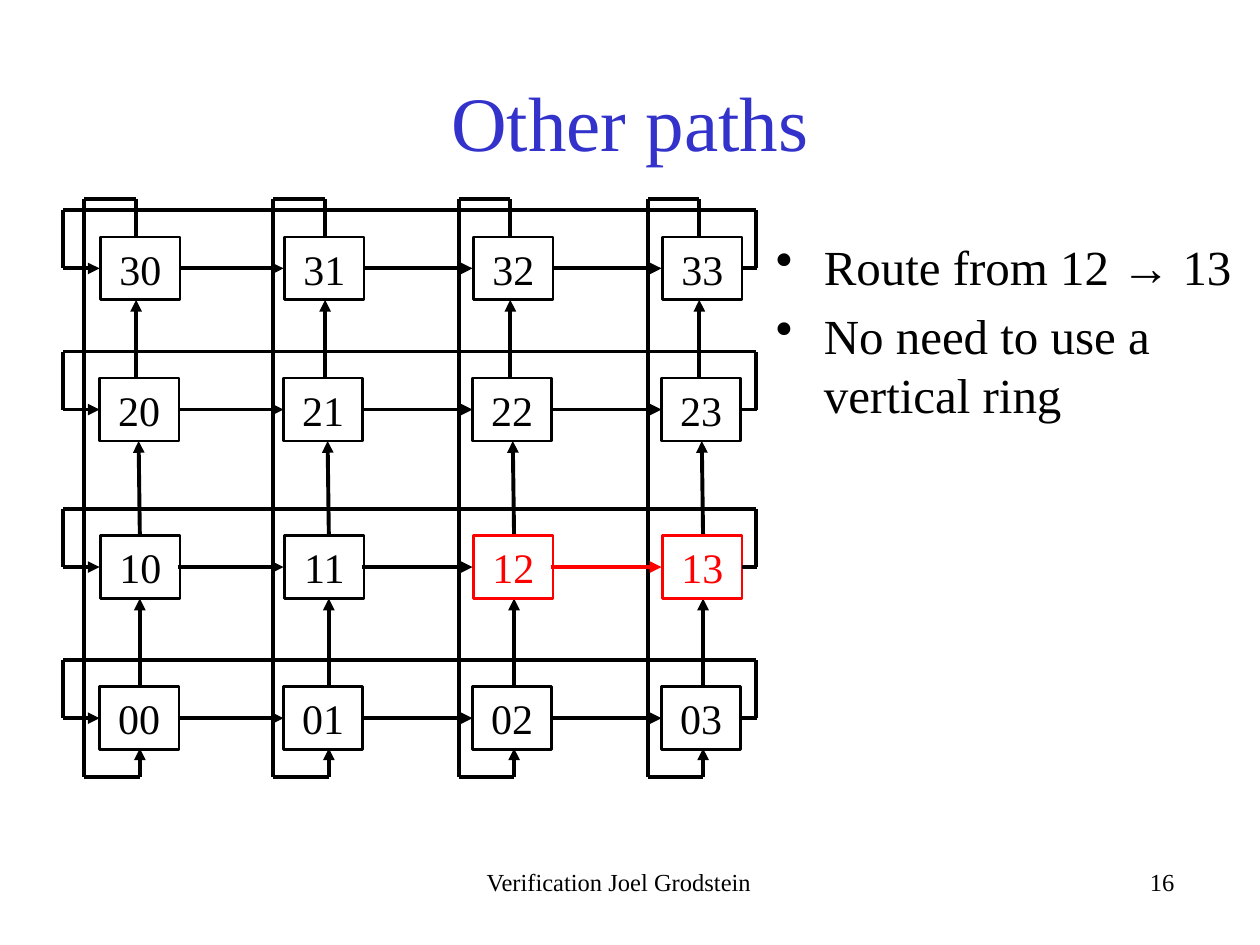
import pptx
import pptx.dml.color
import pptx.enum.shapes
import pptx.enum.text
import pptx.oxml.ns
import pptx.util
from lxml import etree

COLORS = {"ink": "000000", "title": "3333CC", "route": "FF0000", "paper": "FFFFFF"}
FONT = "Times New Roman"
ALIGN = pptx.enum.text.PP_ALIGN
ANCHOR = pptx.enum.text.MSO_ANCHOR

# The slide is a grid of 100 columns by 75 rows
COLS, ROWS = 100, 75
UNIT = pptx.util.Inches(10) // COLS

# Mesh layout, in grid units from the corner of its box; row 0 is at the bottom
NODE_W, NODE_H = 6.3, 5
NODE_X = [2.9, 17.5, 32.5, 47.5]
NODE_Y = [38.7, 26.7, 14.2, 3]
RING_X = [1.7, 16.7, 31.4, 46.4]
RING_RISE = 2.1
# Distance from a vertical ring to the start and end of each upward arrow
UP_ARROWS = [(4.4, 4.4), (4.4, 4.3), (4.1, 4.1)]
ROUTE = ["12", "13"]


def grid(*values):
    return [round(v * UNIT) for v in values]


def rgb(name):
    return pptx.dml.color.RGBColor.from_string(COLORS[name])


def sub(parent, tag, **attrs):
    return etree.SubElement(parent, pptx.oxml.ns.qn(tag), attrs)


def write(s, text, size=24, color="ink", align=ALIGN.LEFT, anchor=ANCHOR.TOP,
          bullet=False, gap=0):
    """Fill a shape with one paragraph per line of text."""
    tf = s.text_frame
    tf.word_wrap = True
    tf.vertical_anchor = anchor
    for i, line in enumerate(text.split("\n")):
        p = tf.paragraphs[0] if i == 0 else tf.add_paragraph()
        p.alignment = align
        if i:
            p.space_before = pptx.util.Pt(gap)
        if bullet:
            pPr = p._p.get_or_add_pPr()
            indent = pptx.util.Inches(0.38)
            pPr.set("marL", str(indent))
            pPr.set("indent", str(-indent))
            sub(pPr, "a:buChar", char="•")
        r = p.add_run()
        r.text = line
        r.font.size = pptx.util.Pt(size)
        r.font.name = FONT
        r.font.color.rgb = rgb(color)


def add_text(slide, box, text, **fmt):
    write(slide.shapes.add_textbox(*grid(*box)), text, **fmt)


def add_line(slide, box, x1, y1, x2, y2, color="ink", arrow=False):
    left, top = box[:2]
    c = slide.shapes.add_connector(
        pptx.enum.shapes.MSO_CONNECTOR.STRAIGHT,
        *grid(left + x1, top + y1, left + x2, top + y2))
    c.line.color.rgb = rgb(color)
    c.line.width = pptx.util.Pt(2.25)
    if arrow:
        sub(c.line._get_or_add_ln(), "a:tailEnd", type="triangle")
    sub(c._element.spPr, "a:effectLst")


def node_left(row, col):
    # Odd rows sit slightly to the right
    return NODE_X[col] + 0.1 * (row % 2)


def node_color(name):
    return "route" if name in ROUTE else "ink"


def add_node(slide, box, row, col):
    name = f"{row}{col}"
    color = node_color(name)
    s = slide.shapes.add_shape(
        pptx.enum.shapes.MSO_SHAPE.RECTANGLE,
        *grid(box[0] + node_left(row, col), box[1] + NODE_Y[row], NODE_W, NODE_H))
    s.shadow.inherit = False
    s.fill.solid()
    s.fill.fore_color.rgb = rgb("paper")
    s.line.color.rgb = rgb(color)
    s.line.width = pptx.util.Pt(1.5)
    write(s, name, color=color, align=ALIGN.CENTER)


def add_row_ring(slide, box, row):
    right = box[2]
    mid = NODE_Y[row] + NODE_H / 2
    top = NODE_Y[row] - RING_RISE
    # Arrows from node to node
    for col in range(3):
        on_route = [f"{row}{col}", f"{row}{col + 1}"] == ROUTE
        add_line(slide, box, NODE_X[col] + NODE_W - 0.1, mid, NODE_X[col + 1], mid,
                 color="route" if on_route else "ink", arrow=True)
    # Return path over the row
    add_line(slide, box, node_left(row, 3) + NODE_W, mid, right + 0.1, mid)
    add_line(slide, box, right, mid, right, top)
    add_line(slide, box, right, top, 0, top)
    add_line(slide, box, 0, top, 0, mid)
    add_line(slide, box, 0, mid, NODE_X[0], mid, arrow=True)


def add_column_ring(slide, box, col):
    x, bottom = RING_X[col], box[3]
    first, last = x + UP_ARROWS[0][0], x + UP_ARROWS[-1][1]
    # Arrows from node to node
    for row, (start, end) in enumerate(UP_ARROWS):
        add_line(slide, box, x + start, NODE_Y[row],
                 x + end, NODE_Y[row + 1] + NODE_H, arrow=True)
    # Return path to the left of the column
    add_line(slide, box, last, NODE_Y[-1], last, 0)
    add_line(slide, box, last, 0, x, 0)
    add_line(slide, box, x, 0, x, bottom)
    add_line(slide, box, x, bottom, first, bottom)
    add_line(slide, box, first, bottom, first, NODE_Y[0] + NODE_H - 0.1, arrow=True)


def add_mesh(slide, box):
    for col in range(4):
        add_column_ring(slide, box, col)
    for row in (3, 2):
        add_row_ring(slide, box, row)
    for row in range(4):
        for col in range(4):
            add_node(slide, box, row, col)
    # The lower rows run over the node edges
    for row in (0, 1):
        add_row_ring(slide, box, row)


def add_footer(slide, box):
    left, top, width, height = box
    third = width / 2 - 0.15
    add_text(slide, (left, top, third, height), "Verification Joel Grodstein",
             size=14, align=ALIGN.CENTER)
    add_text(slide, (left + width - third, top, third, height), "16",
             size=14, align=ALIGN.RIGHT)


def main():
    prs = pptx.Presentation()
    prs.slide_width, prs.slide_height = grid(COLS, ROWS)
    slide = prs.slides.add_slide(prs.slide_layouts[6])

    add_mesh(slide, (5, 15.8, 55, 45.9))
    add_text(slide, (7.5, 3.3, 85, 12.5), "Other paths", size=44, color="title",
             align=ALIGN.CENTER, anchor=ANCHOR.MIDDLE)
    add_text(slide, (60.6, 18.3, 39.1, 36.1),
             "Route from 12 → 13\nNo need to use a vertical ring",
             size=28, bullet=True, gap=5.6)
    add_footer(slide, (34.2, 68.3, 60, 5))

    prs.save("out.pptx")


if __name__ == "__main__":
    main()
